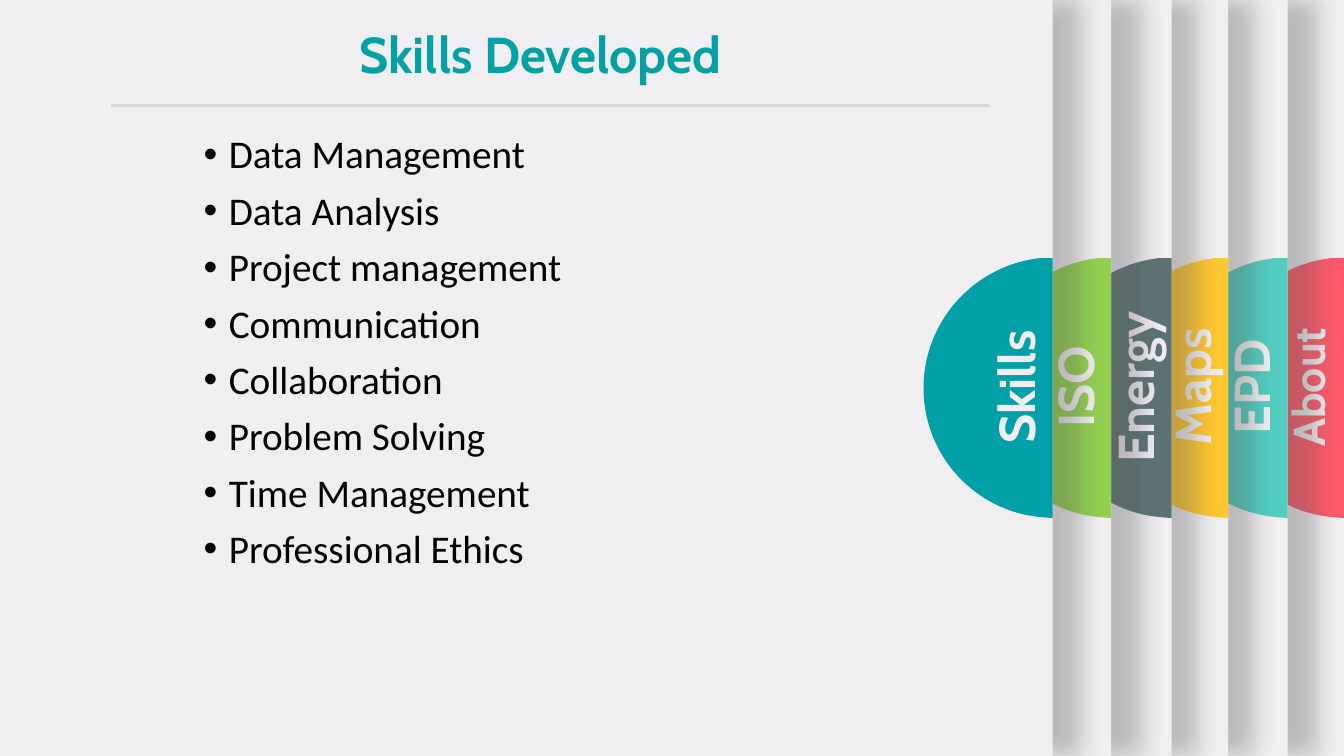
from lxml.etree import SubElement
from pptx import Presentation
from pptx.dml.color import RGBColor
from pptx.enum.shapes import MSO_CONNECTOR, MSO_SHAPE
from pptx.enum.text import MSO_ANCHOR, MSO_AUTO_SIZE, PP_ALIGN
from pptx.oxml.ns import qn
from pptx.util import Inches, Pt

PAPER = "F0EEF0"
TAB_TOP = 2.56
TAB_CENTRE = 3.85
PANELS = [
    ("About", -0.32, 13.33, "FF5969", 32),
    ("EPD", 0.25, 12.77, "52CDC0", 36),
    ("Maps", 1.29, 12.18, "FFC730", 36),
    ("Energy", 1.15, 11.62, "5D7373", 36),
    ("ISO", -1.95, 11.02, "92D050", 36),
    ("Skills", -1.95, 10.44, "00A0A8", 36),
]
SKILLS = [
    "Data Management", "Data Analysis", "Project management", "Communication",
    "Collaboration", "Problem Solving", "Time Management", "Professional Ethics",
]


def colour(value):
    """Turn a hex string into a colour."""
    return RGBColor.from_string(value)


def fill_plain(shape, value):
    """Give a shape a solid fill, no outline and no inherited shadow."""
    shape.shadow.inherit = False
    shape.fill.solid()
    shape.fill.fore_color.rgb = colour(value)
    shape.line.fill.background()


def format_runs(paragraph, name, size, value, bold=False):
    """Set the font of every run in a paragraph."""
    for run in paragraph.runs:
        run.font.name = name
        run.font.size = Pt(size)
        run.font.bold = bold
        run.font.color.rgb = colour(value)


def place(shape, left, top, width, height):
    """Move and size a shape."""
    shape.left, shape.top = Inches(left), Inches(top)
    shape.width, shape.height = Inches(width), Inches(height)


def cast_shadow(shape):
    """Add a soft, widened shadow to the right of a shape."""
    effects = shape._element.spPr.find(qn("a:effectLst"))
    shadow = SubElement(effects, qn("a:outerShdw"), blurRad=str(Pt(17)),
                        dist=str(Pt(3)), dir="0", sx="102000", algn="l",
                        rotWithShape="0")
    shade = SubElement(shadow, qn("a:srgbClr"), val="595959")
    SubElement(shade, qn("a:alpha"), val="35000")


def add_tab(slide, right, value):
    """Draw a half-disc whose flat side is at the given right edge."""
    width, height, shoulder = 1.28, 2.58, 1.16
    corners = [(width, 0), (width, height), (shoulder, height - 0.01),
               (0, 1.29), (shoulder, 0)]
    points = [(Inches(right - width + x), Inches(TAB_TOP + y)) for x, y in corners]
    builder = slide.shapes.build_freeform(*points[0])
    builder.add_line_segments(points[1:], close=True)
    tab = builder.convert_to_shape()
    fill_plain(tab, value)

    outline = next(tab._element.iter(qn("a:pathLst")))[0]
    handles = [[(0.51, 2.51), (0, 1.96)], [(0, 0.62), (0.51, 0.07)]]
    for segment, controls in zip(outline.findall(qn("a:lnTo"))[2:4], handles):
        curve = SubElement(outline, qn("a:cubicBezTo"))
        for x, y in controls:
            SubElement(curve, qn("a:pt"), x=str(Inches(x)), y=str(Inches(y)))
        curve.append(segment[0])
        outline.replace(segment, curve)


def add_panel(slide, label, left, right, value, size):
    """Draw a sheet with a half-disc tab and a vertical label at its right edge."""
    sheet = slide.shapes.add_shape(MSO_SHAPE.RECTANGLE, Inches(left), 0,
                                   Inches(right - left), Inches(7.5))
    fill_plain(sheet, PAPER)
    cast_shadow(sheet)
    add_tab(slide, right, value)

    width, height = 2.18, 0.1 + size * 0.017
    text_box = slide.shapes.add_textbox(
        Inches(right - 0.36 - width / 2), Inches(TAB_CENTRE - 0.01 - height / 2),
        Inches(width), Inches(height))
    text_box.rotation = 270
    text_box.text_frame.word_wrap = True
    paragraph = text_box.text_frame.paragraphs[0]
    paragraph.text = label
    paragraph.alignment = PP_ALIGN.CENTER
    format_runs(paragraph, "Cabin", size, PAPER, True)


def add_heading(slide, left, top, width, height):
    """Place the title and the rule below it."""
    title = slide.shapes.title
    slide.shapes._spTree.append(title._element)
    place(title, left, top, width, height)
    title.text_frame.text = "Skills Developed"
    title.text_frame.auto_size = MSO_AUTO_SIZE.NONE
    title.text_frame.vertical_anchor = MSO_ANCHOR.TOP
    paragraph = title.text_frame.paragraphs[0]
    paragraph.alignment = PP_ALIGN.CENTER
    format_runs(paragraph, "Cabin", 36, "03A1A4", True)

    rule_top = Inches(top + 0.87)
    rule = slide.shapes.add_connector(
        MSO_CONNECTOR.STRAIGHT, Inches(left - 0.41), rule_top,
        Inches(left + width + 0.61), rule_top)
    rule.line.color.rgb = colour("D9D9D9")
    rule.line.width = Pt(2.25)
    SubElement(rule._element.spPr, qn("a:effectLst"))


def add_skills(slide, left, top, width, height):
    """Fill the body placeholder with the bulleted skills."""
    body = slide.placeholders[1]
    slide.shapes._spTree.append(body._element)
    place(body, left, top, width, height)
    frame = body.text_frame
    frame.text = "\n".join(SKILLS)
    frame.auto_size = MSO_AUTO_SIZE.NONE
    frame.vertical_anchor = MSO_ANCHOR.TOP
    for index, paragraph in enumerate(frame.paragraphs):
        properties = paragraph._p.get_or_add_pPr()
        properties.set("marL", str(Inches(0.25)))
        properties.set("indent", str(-Inches(0.25)))
        SubElement(properties, qn("a:buFont"), typeface="Arial")
        SubElement(properties, qn("a:buChar"), char="•")
        paragraph.alignment = PP_ALIGN.LEFT
        paragraph.line_spacing = 0.9
        paragraph.space_before = Pt(10 if index else 0)
        format_runs(paragraph, "Calibri", 28, "000000")


def main():
    """Build and save the slide."""
    presentation = Presentation()
    presentation.slide_width = Inches(13.33)
    presentation.slide_height = Inches(7.5)
    slide = presentation.slides.add_slide(presentation.slide_layouts[1])
    for panel in PANELS:
        add_panel(slide, *panel)
    add_skills(slide, 1.92, 1.29, 7.28, 5.98)
    add_heading(slide, 1.51, 0.18, 7.7, 0.71)
    presentation.save("out.pptx")


if __name__ == "__main__":
    main()
